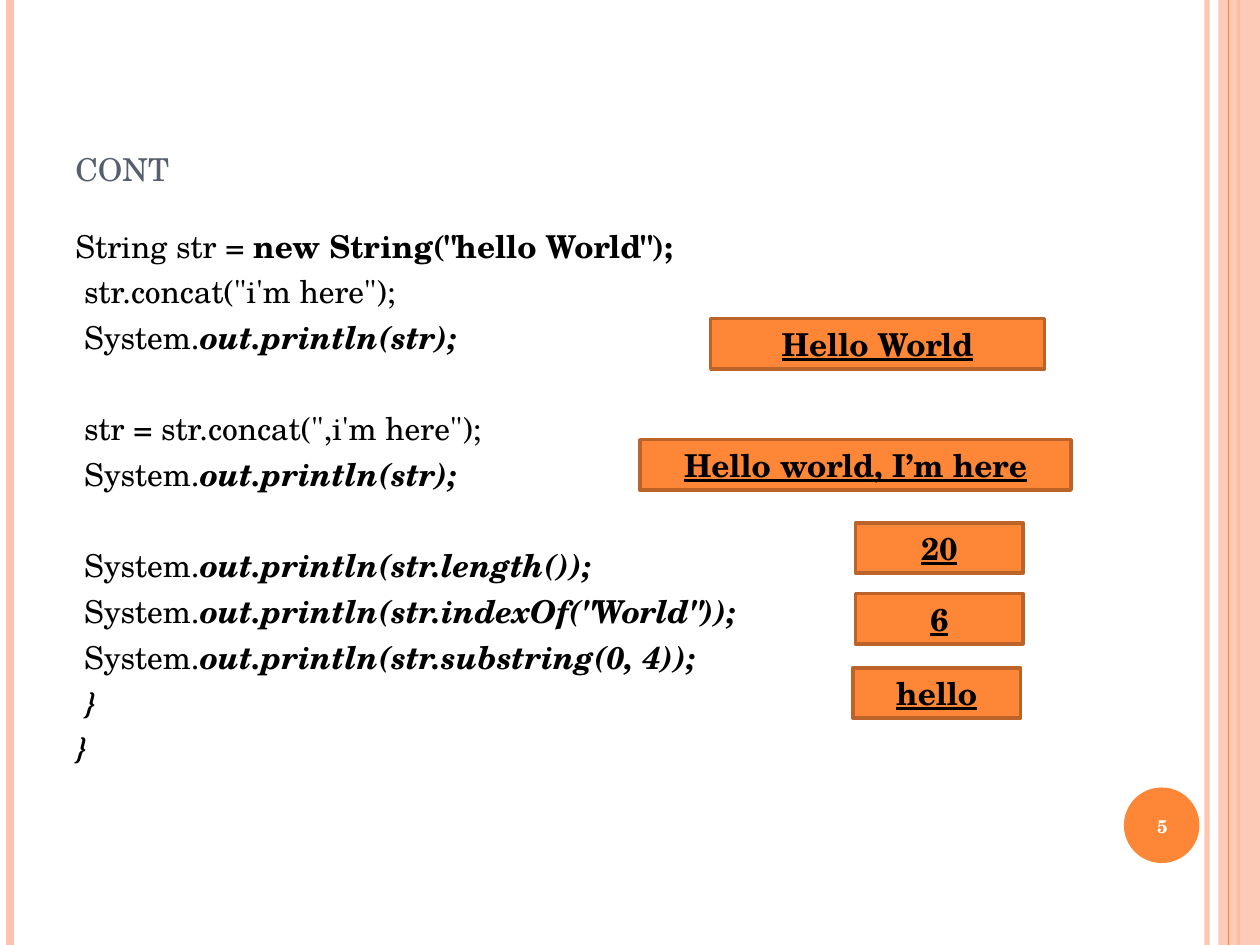
"""Build a slide of string calls, each beside the output it prints."""
from lxml.etree import SubElement
from pptx import Presentation
from pptx.dml.color import RGBColor
from pptx.enum.shapes import MSO_CONNECTOR, MSO_SHAPE
from pptx.enum.text import MSO_ANCHOR, PP_ALIGN
from pptx.oxml.ns import qn
from pptx.util import Inches, Pt

WIDE, HIGH = 10, 7.5
FONT = "TeX Gyre Schola"
ORANGE, PEACH, RUST = "FE8637", "FEC3AE", "BC6329"
BLACK, WHITE, SLATE = "000000", "FFFFFF", "575F6D"
GAP, ROW = 4.5, 26.1
LEFT, SPAN = 0.5, 8.17

PLAIN, BOLD, SLANT = (False, False), (True, False), (True, True)
CALL = (" System.", PLAIN)
PRINT = [CALL, ("out.println(str);", SLANT)]
CODE = [
    [
        [("String str = ", PLAIN), ('new String("hello World");', BOLD)],
        [(' str.concat("i\'m here");', PLAIN)],
        PRINT,
    ],
    [
        [(' str = str.concat(",i\'m here");', PLAIN)],
        PRINT,
    ],
    [
        [CALL, ("out.println(str.length());", SLANT)],
        [CALL, ('out.println(str.indexOf("World"));', SLANT)],
        [CALL, ("out.println(str.substring(0, 4));", SLANT)],
        [(" }", SLANT)],
        [("}", SLANT)],
    ],
]
OUTPUT = [
    ("Hello World", 5.64, 2.53, 2.65),
    ("Hello world, I’m here", 5.08, 3.49, 3.42),
    ("20", 6.79, 4.15, 1.33),
    ("6", 6.79, 4.71, 1.33),
    ("hello", 6.77, 5.3, 1.33),
]
BACK = [(9.58, PEACH, 3, 93), (0.08, PEACH, 4.5, 100), (9.83, ORANGE, 1.5, 100)]
FRONT = [(9.75, ORANGE, 0.75, 100)]


def paint(part, color, alpha=100):
    """Give a fill a solid colour and an opacity in percent."""
    part.solid()
    part.fore_color.rgb = RGBColor.from_string(color)
    if alpha < 100:
        tint = part._xPr.find(".//" + qn("a:srgbClr"))
        SubElement(tint, qn("a:alpha"), val=str(alpha * 1000))


def rule(slide, x, color, width, alpha):
    """Draw a vertical line over the full height."""
    line = slide.shapes.add_connector(
        MSO_CONNECTOR.STRAIGHT, Inches(x), 0, Inches(x), Inches(HIGH))
    line.line.width = Pt(width)
    paint(line.line.fill, color, alpha)
    SubElement(line._element.spPr, qn("a:effectLst"))


def block(slide, kind, box, color, alpha=100, edge=None):
    """Draw a filled shape, with an outline if an edge colour is given."""
    shape = slide.shapes.add_shape(kind, *map(Inches, box))
    shape.shadow.inherit = False
    paint(shape.fill, color, alpha)
    if edge:
        shape.line.width = Pt(2)
        paint(shape.line.fill, edge)
    else:
        shape.line.fill.background()
    return shape


def frame(slide, box, anchor=MSO_ANCHOR.TOP):
    """Add a wrapping text box and return its text frame."""
    text = slide.shapes.add_textbox(*map(Inches, box)).text_frame
    text.word_wrap = True
    text.vertical_anchor = anchor
    return text


def write(para, words, size, color, style=PLAIN, under=False):
    """Append one styled run to a paragraph."""
    run = para.add_run()
    run.text = words
    font = run.font
    font.name, font.size = FONT, Pt(size)
    font.bold, font.italic = style
    font.underline = under
    font.color.rgb = RGBColor.from_string(color)
    return run


def trim(slide):
    """Draw the side bands and the numbered disc."""
    for args in BACK:
        rule(slide, *args)
    block(slide, MSO_SHAPE.RECTANGLE, (9.67, 0, 0.33, HIGH), PEACH, 87)
    for args in FRONT:
        rule(slide, *args)
    block(slide, MSO_SHAPE.OVAL, (8.92, 6.25, 0.6, 0.6), ORANGE)
    para = frame(slide, (8.89, 6.27, 0.67, 0.57), MSO_ANCHOR.MIDDLE).paragraphs[0]
    para.alignment = PP_ALIGN.CENTER
    write(para, "5", 10.5, WHITE, BOLD)


def listing(slide):
    """Write the code groups, one open row between groups."""
    text = frame(slide, (LEFT, 1.75, SPAN, 5.33))
    para = text.paragraphs[0]
    for g, group in enumerate(CODE):
        for n, line in enumerate(group):
            if g or n:
                para = text.add_paragraph()
            para.space_before = Pt(GAP + ROW if g and not n else GAP)
            for words, style in line:
                write(para, words, 18, BLACK, style)


def main():
    """Assemble and save the slide."""
    deck = Presentation()
    deck.slide_width, deck.slide_height = Inches(WIDE), Inches(HIGH)
    slide = deck.slides.add_slide(deck.slide_layouts[6])
    trim(slide)
    title = frame(slide, (LEFT, 0.3, SPAN, 1.25), MSO_ANCHOR.BOTTOM)
    run = write(title.paragraphs[0], "cont", 22.5, SLATE)
    run.font._element.set("cap", "small")
    listing(slide)
    for words, x, y, width in OUTPUT:
        shape = block(slide, MSO_SHAPE.RECTANGLE, (x, y, width, 0.4), ORANGE, edge=RUST)
        text = shape.text_frame
        text.word_wrap = True
        text.vertical_anchor = MSO_ANCHOR.MIDDLE
        para = text.paragraphs[0]
        para.alignment = PP_ALIGN.CENTER
        para.space_after = Pt(10)
        write(para, words, 18, BLACK, BOLD, True)
    deck.save("out.pptx")


if __name__ == "__main__":
    main()
